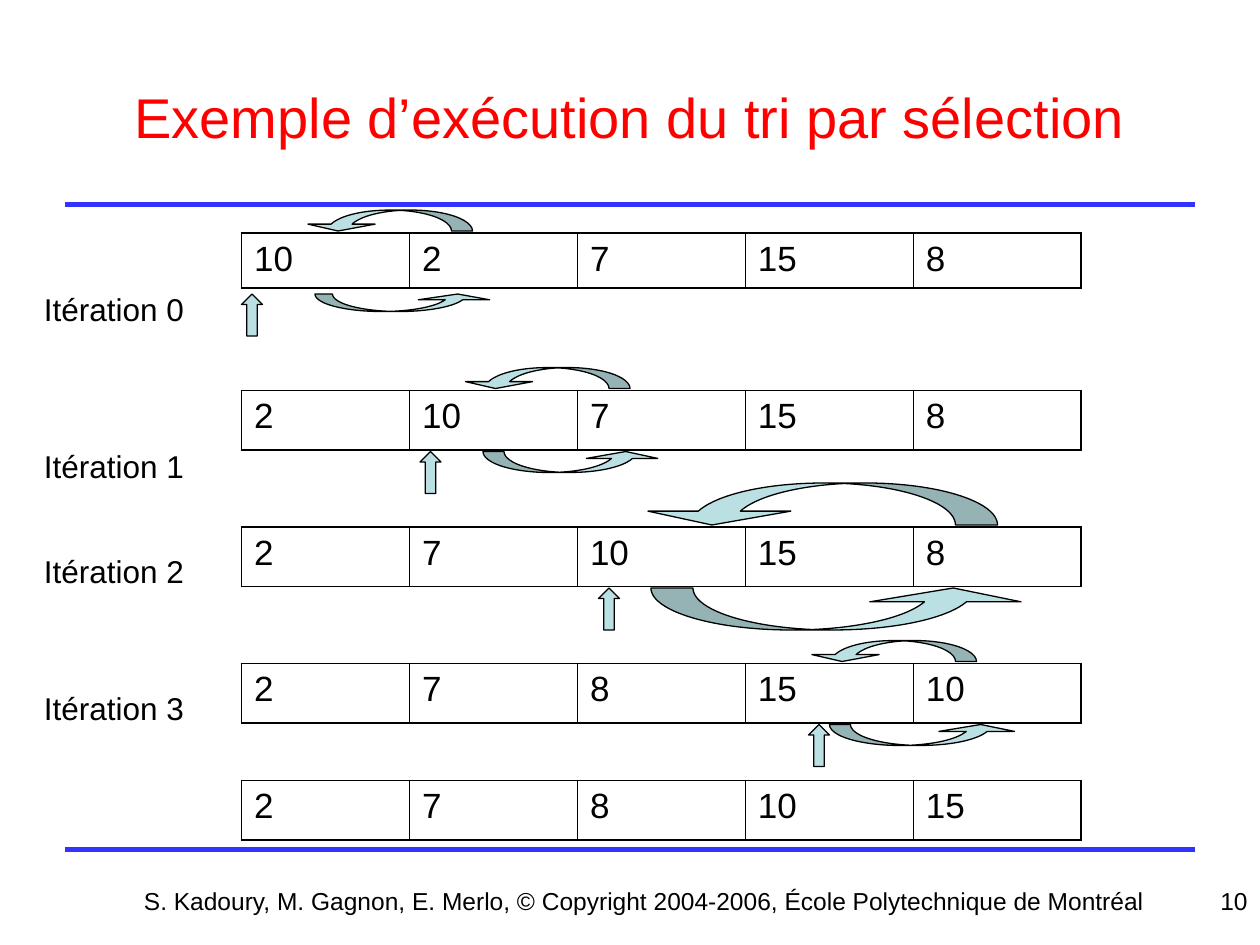
from dataclasses import dataclass

from lxml.etree import SubElement
from pptx import Presentation
from pptx.dml.color import RGBColor
from pptx.enum.shapes import MSO_CONNECTOR as Connector, MSO_SHAPE as Preset
from pptx.enum.text import MSO_ANCHOR as Anchor, PP_ALIGN as Align
from pptx.oxml.ns import qn
from pptx.slide import Slide
from pptx.util import Pt

COLORS = {
    "text": "000000",
    "title": "FF0000",
    "rule": "3333FF",
    "arrow": "BBE0E3",
}
TABLE_LEFT, CELL_WIDTH = 138, 96
SWAP_GAP = 36
OUTER_BORDER, INNER_BORDER = 1.08, 0.45
SHAFT_SHARE, HEAD_SHARE, HEAD_DEPTH = 0.2, 0.4, 0.33


@dataclass(frozen=True)
class Row:
    """One state of the array."""

    top: float
    height: float
    values: tuple[int, ...]


@dataclass(frozen=True)
class Swap:
    """Marker and exchange arrows of one iteration."""

    label_top: float
    marker_left: float
    top: float
    lower_left: float
    lower_width: float
    lower_height: float
    upper_left: float
    upper_width: float
    upper_height: float


ROWS = (
    Row(133.2, 31.5, (10, 2, 7, 15, 8)),
    Row(223.2, 34, (2, 10, 7, 15, 8)),
    Row(301.2, 34, (2, 7, 10, 15, 8)),
    Row(379.2, 34, (2, 7, 8, 15, 10)),
    Row(446, 34, (2, 7, 8, 10, 15)),
)
SWAPS = (
    Swap(162, 138, 168, 180, 102, 10, 174, 96, 12),
    Swap(252, 240, 258, 276, 102, 12, 264, 96, 12),
    Swap(312, 342, 336, 372, 216, 24, 366, 204, 24),
    Swap(390, 462, 414, 474, 108, 12, 462, 96, 12),
)


def color(name: str) -> RGBColor:
    """Look up a palette colour."""
    return RGBColor.from_string(COLORS[name])


def write(frame, text: str, size: float, name: str = "text", align: Align = Align.LEFT) -> None:
    """Put one formatted paragraph in a text frame."""
    paragraph = frame.paragraphs[0]
    paragraph.text = text
    paragraph.alignment = align
    for attribute, value in {"name": "Arial", "size": Pt(size), "bold": False}.items():
        setattr(paragraph.font, attribute, value)
    paragraph.font.color.rgb = color(name)


def add_text(slide: Slide, box: tuple, text: str, size: float, align: Align = Align.LEFT) -> None:
    """Add a wrapped text box."""
    frame = slide.shapes.add_textbox(*map(Pt, box)).text_frame
    frame.word_wrap = True
    write(frame, text, size, align=align)


def add_rule(slide: Slide, top: float) -> None:
    """Add a horizontal rule."""
    rule = slide.shapes.add_connector(Connector.STRAIGHT, Pt(37), Pt(top), Pt(683), Pt(top))
    rule.line.color.rgb = color("rule")
    rule.line.width = Pt(3)
    SubElement(rule._element.spPr, qn("a:effectLst"))


def add_border(cell, side: str, width: float) -> None:
    """Draw one side of a cell."""
    line = SubElement(cell._tc.get_or_add_tcPr(), qn(f"a:ln{side}"), w=str(Pt(width)))
    SubElement(SubElement(line, qn("a:solidFill")), qn("a:srgbClr"), val=COLORS["text"])


def add_row(slide: Slide, row: Row) -> None:
    """Add the table of one array state."""
    count = len(row.values)
    box = (TABLE_LEFT, row.top, CELL_WIDTH * count, row.height)
    table = slide.shapes.add_table(1, count, *map(Pt, box)).table
    table.first_row = table.horz_banding = False
    for column, value in enumerate(row.values):
        cell = table.cell(0, column)
        write(cell.text_frame, str(value), 20)
        widths = {
            "L": OUTER_BORDER if column == 0 else INNER_BORDER,
            "R": OUTER_BORDER if column == count - 1 else INNER_BORDER,
            "T": OUTER_BORDER,
            "B": OUTER_BORDER,
        }
        for side, width in widths.items():
            add_border(cell, side, width)
        cell.fill.background()


def add_arrow(slide: Slide, preset: Preset, box: tuple):
    """Add a filled and outlined arrow."""
    shape = slide.shapes.add_shape(preset, *map(Pt, box))
    shape.shadow.inherit = False
    shape.fill.solid()
    shape.fill.fore_color.rgb = color("arrow")
    shape.line.color.rgb = color("text")
    shape.line.width = Pt(0.75)
    return shape


def add_curved_arrow(slide: Slide, box: tuple, rotation: float = 0) -> None:
    """Add a curved arrow whose shaft and head are shares of its width."""
    arrow = add_arrow(slide, Preset.CURVED_UP_ARROW, box)
    ratio = box[2] / box[3]
    for index, value in enumerate((SHAFT_SHARE * ratio, HEAD_SHARE * ratio, HEAD_DEPTH)):
        arrow.adjustments[index] = value
    arrow.rotation = rotation


def add_swap(slide: Slide, number: int, swap: Swap) -> None:
    """Add the label, marker and exchange arrows of an iteration."""
    add_text(slide, (18, swap.label_top, 96, 28.8), f"Itération {number}", 18)
    add_arrow(slide, Preset.UP_ARROW, (swap.marker_left, swap.top, 12, 24))
    add_curved_arrow(slide, (swap.lower_left, swap.top, swap.lower_width, swap.lower_height))
    upper_top = swap.top - SWAP_GAP - swap.upper_height
    add_curved_arrow(slide, (swap.upper_left, upper_top, swap.upper_width, swap.upper_height), 180)


def main() -> None:
    """Build the selection sort slide."""
    presentation = Presentation()
    presentation.slide_width, presentation.slide_height = Pt(720), Pt(540)
    slide = presentation.slides.add_slide(presentation.slide_layouts[5])
    title = slide.shapes.title
    for attribute, value in {"left": 36, "top": 21.6, "width": 648, "height": 90}.items():
        setattr(title, attribute, Pt(value))
    title.text_frame.vertical_anchor = Anchor.MIDDLE
    write(title.text_frame, "Exemple d’exécution du tri par sélection", 32, "title", Align.CENTER)
    for top in (116.75, 485.25):
        add_rule(slide, top)
    for row in ROWS:
        add_row(slide, row)
    for number, swap in enumerate(SWAPS):
        add_swap(slide, number, swap)
    credit = "S. Kadoury, M. Gagnon, E. Merlo, © Copyright 2004-2006, École Polytechnique de Montréal"
    add_text(slide, (70.5, 502.5, 595.5, 37.5), credit, 14, Align.CENTER)
    add_text(slide, (552, 502.5, 168, 37.5), "10", 14, Align.RIGHT)
    presentation.save("out.pptx")


if __name__ == "__main__":
    main()
